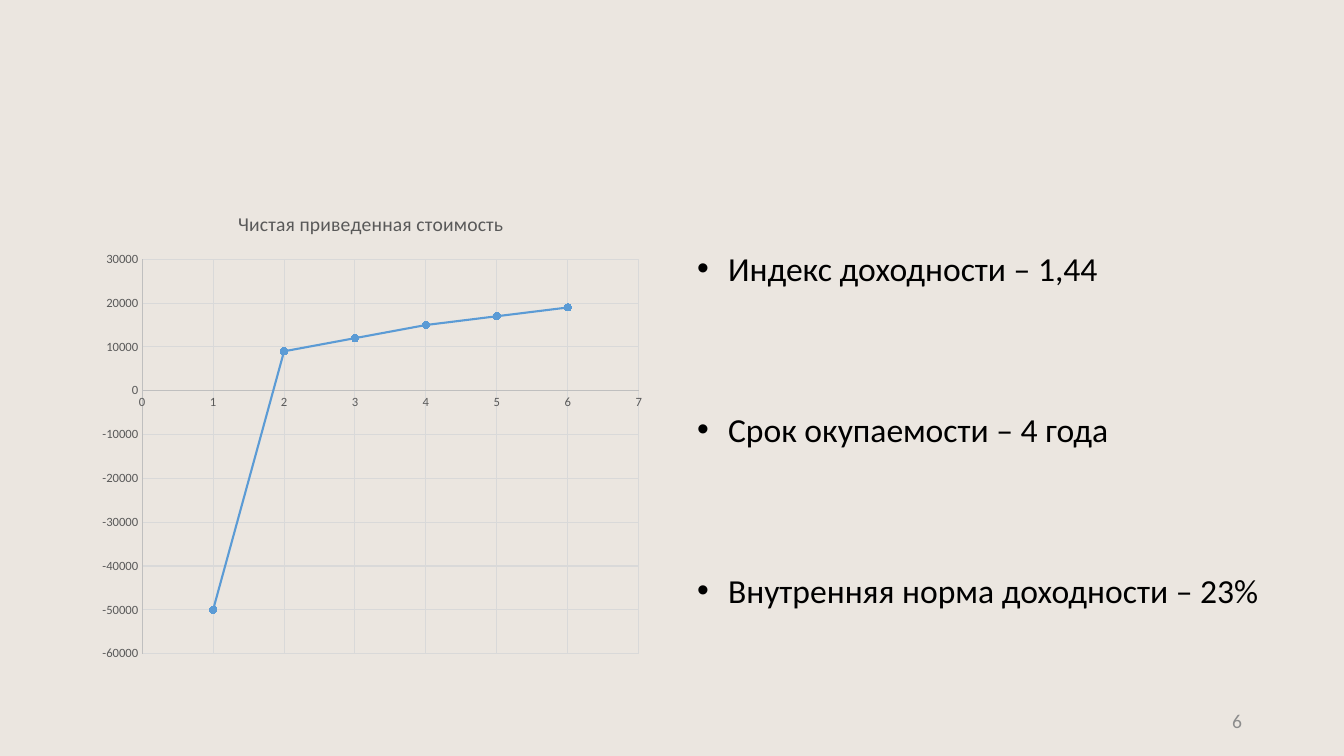
import pptx
import pptx.chart.data
import pptx.dml.color
import pptx.enum.chart
import pptx.enum.text
import pptx.oxml
import pptx.oxml.ns
import pptx.util

PX = 9144000 / 1008
FONT = "Calibri"
BACKGROUND = pptx.dml.color.RGBColor(0xEB, 0xE6, 0xE0)
BLACK = pptx.dml.color.RGBColor(0x00, 0x00, 0x00)
LABEL_GREY = pptx.dml.color.RGBColor(0x59, 0x59, 0x59)
AXIS_GREY = pptx.dml.color.RGBColor(0xBF, 0xBF, 0xBF)
GRID_GREY = pptx.dml.color.RGBColor(0xD9, 0xD9, 0xD9)
NUMBER_GREY = pptx.dml.color.RGBColor(0x8C, 0x8C, 0x8C)
SERIES_BLUE = pptx.dml.color.RGBColor(0x5B, 0x9B, 0xD5)

PRESENT_VALUES = [-50000, 9000, 12000, 15000, 17000, 19000]
INDICATORS = [
    "Индекс доходности – 1,44",
    "Срок окупаемости – 4 года",
    "Внутренняя норма доходности – 23%",
]


def px(length):
    """Turn pixels into EMU."""
    return round(length * PX)


def style_font(font, size, color):
    """Set the typeface, size and colour of a font."""
    font.name = FONT
    font.size = pptx.util.Pt(size)
    font.bold = False
    font.color.rgb = color


def style_line(line, color, width):
    """Set the colour and width of a line."""
    line.color.rgb = color
    line.width = pptx.util.Pt(width)


def style_axis(axis, low, high, step):
    """Scale an axis and format its labels, line and grid."""
    axis.minimum_scale, axis.maximum_scale, axis.major_unit = low, high, step
    axis.major_tick_mark = pptx.enum.chart.XL_TICK_MARK.NONE
    axis.minor_tick_mark = pptx.enum.chart.XL_TICK_MARK.NONE
    axis.has_major_gridlines = True
    style_font(axis.tick_labels.font, 9, LABEL_GREY)
    style_line(axis.format.line, AXIS_GREY, 0.75)
    style_line(axis.major_gridlines.format.line, GRID_GREY, 0.75)


def place_plot(chart, left, top, width, height):
    """Fix the inner plot area as fractions of the chart."""
    plot_area = chart.element.find(".//" + pptx.oxml.ns.qn("c:plotArea"))
    for old in plot_area.findall(pptx.oxml.ns.qn("c:layout")):
        plot_area.remove(old)
    plot_area.insert(0, pptx.oxml.parse_xml(
        f'<c:layout {pptx.oxml.ns.nsdecls("c")}><c:manualLayout>'
        '<c:layoutTarget val="inner"/><c:xMode val="edge"/><c:yMode val="edge"/>'
        f'<c:x val="{left}"/><c:y val="{top}"/><c:w val="{width}"/><c:h val="{height}"/>'
        '</c:manualLayout></c:layout>'))


def add_value_chart(page, box):
    """Draw the net present value chart in the box."""
    data = pptx.chart.data.XyChartData()
    points = data.add_series("Series 1")
    for year, value in enumerate(PRESENT_VALUES, 1):
        points.add_data_point(year, value)
    chart = page.shapes.add_chart(
        pptx.enum.chart.XL_CHART_TYPE.XY_SCATTER_LINES, *map(px, box), data).chart
    style_font(chart.font, 10, BLACK)
    chart.has_legend = False
    chart.has_title = True
    title = chart.chart_title.text_frame
    title.text = "Чистая приведенная стоимость"
    style_font(title.paragraphs[0].runs[0].font, 14, LABEL_GREY)
    style_axis(chart.category_axis, 0, 7, 1)
    style_axis(chart.value_axis, -60000, 30000, 10000)
    chart.plots[0].vary_by_categories = False
    series = chart.plots[0].series[0]
    series.smooth = False
    style_line(series.format.line, SERIES_BLUE, 1.5)
    series.marker.style = pptx.enum.chart.XL_MARKER_STYLE.CIRCLE
    series.marker.size = 5
    series.marker.format.fill.solid()
    series.marker.format.fill.fore_color.rgb = SERIES_BLUE
    style_line(series.marker.format.line, SERIES_BLUE, 0.75)
    place_plot(chart, 0.09, 0.14, 0.89, 0.82)


def fill_indicators(body, box):
    """Place the body placeholder and fill in the bulleted indicators."""
    body.left, body.top, body.width, body.height = map(px, box)
    frame = body.text_frame
    frame.text = "\n".join(INDICATORS)
    frame.auto_size = pptx.enum.text.MSO_AUTO_SIZE.NONE
    for index, para in enumerate(frame.paragraphs):
        para.line_spacing = 1.0
        para.space_before = pptx.util.Pt(86 if index else 0)
        properties = para._p.get_or_add_pPr()
        properties.set("marL", str(px(31)))
        properties.set("indent", str(px(-31)))
        style_font(para.runs[0].font, 24, BLACK)


def add_page_number(page, box):
    """Write the page number at the right of the box."""
    frame = page.shapes.add_textbox(*map(px, box)).text_frame
    frame.word_wrap = True
    frame.vertical_anchor = pptx.enum.text.MSO_ANCHOR.MIDDLE
    frame.text = "6"
    para = frame.paragraphs[0]
    para.alignment = pptx.enum.text.PP_ALIGN.RIGHT
    style_font(para.runs[0].font, 14, NUMBER_GREY)


def main():
    """Build the deck and save it."""
    deck = pptx.Presentation()
    deck.slide_width, deck.slide_height = px(1344), px(756)
    page = deck.slides.add_slide(deck.slide_layouts[1])
    page.background.fill.solid()
    page.background.fill.fore_color.rgb = BACKGROUND
    title = page.shapes.title.element
    title.getparent().remove(title)
    add_value_chart(page, (92, 192, 558, 481))
    fill_indicators(page.placeholders[1], (687, 243, 640, 377))
    add_page_number(page, (950, 701, 302, 40))
    deck.save("out.pptx")


if __name__ == "__main__":
    main()
